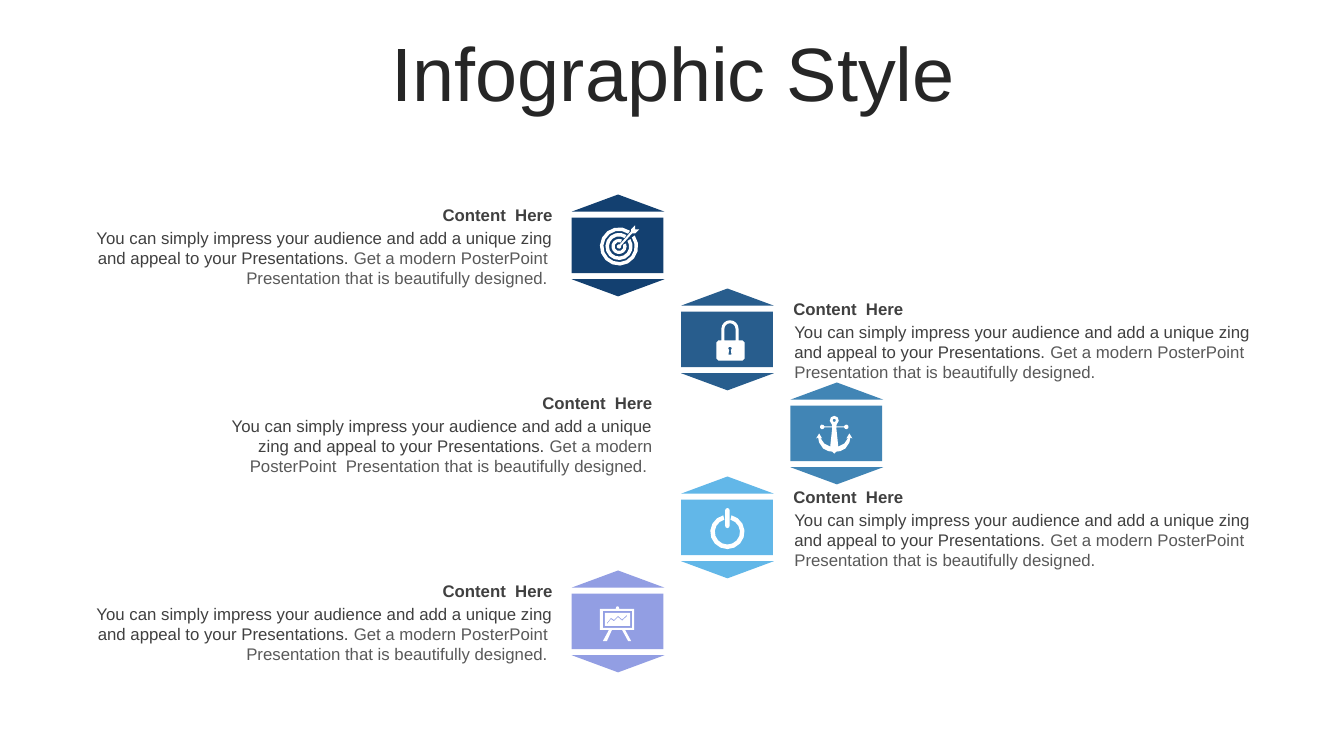
from math import cos, radians, sin

from pptx import Presentation
from pptx.dml.color import RGBColor
from pptx.enum.shapes import MSO_SHAPE
from pptx.enum.text import MSO_ANCHOR, MSO_AUTO_SIZE, PP_ALIGN
from pptx.util import Inches, Pt

RECT, ROOF = MSO_SHAPE.RECTANGLE, MSO_SHAPE.ISOSCELES_TRIANGLE
TOP, MIDDLE = MSO_ANCHOR.TOP, MSO_ANCHOR.MIDDLE
LEFT, CENTER, RIGHT = PP_ALIGN.LEFT, PP_ALIGN.CENTER, PP_ALIGN.RIGHT
NO_FIT = MSO_AUTO_SIZE.NONE

WIDE, HIGH = 13.33, 7.5
COL_0, COL_STEP = 5.67, 1.085
ROW_0, ROW_STEP = 1.93, 0.9325
BADGE_W, BADGE_H, ROOF_H, BAND_H = 0.92, 1.01, 0.17, 0.55

HEAD = "Content  Here"
LEAD = ("You can simply impress your audience and add a unique zing "
        "and appeal to your Presentations. ")
REST = "Get a modern PosterPoint  Presentation that is beautifully designed."


def color(code):
    return RGBColor.from_string(code)


def paint(shape, code):
    shape.fill.solid()
    shape.fill.fore_color.rgb = color(code)
    shape.line.fill.background()
    shape.shadow.inherit = False


def arc(x, y, r, start, end):
    """Points along an arc; angles in degrees, clockwise from the right."""
    step = 24 if r > 5 else 45
    steps = max(2, round(abs(end - start) / step))
    turns = [radians(start + (end - start) * i / steps) for i in range(steps + 1)]
    return [(x + r * cos(t), y + r * sin(t)) for t in turns]


def ring(x, y, outer, inner, start, end):
    return arc(x, y, outer, start, end) + arc(x, y, inner, end, start)


def box(x1, y1, x2, y2):
    return [(x1, y1), (x2, y1), (x2, y2), (x1, y2)]


# Icons return closed outlines in hundredths of an inch from the badge centre.
def target():
    bands = [(19, 15.5, 10), (13.5, 10, 12), (7.5, 4.5, 22)]
    rings = [ring(1, 1, out, inn, gap - 45, 315 - gap) for out, inn, gap in bands]
    arrow = [(17, -20), (17, -16), (21, -16), (17, -12), (14, -12)]
    tail = arc(1, 1, 2.2, -20, 290) + [(13, -14), (13, -16)]
    return rings + [arrow + tail]


def lock():
    bow = [(-6, 1), *arc(2.5, -10.5, 8.5, 180, 360), (11, 1), (8, 1),
           *arc(2.5, -10.5, 5.5, 360, 180), (-3, 1)]
    case = [(-9, 1), (15, 1), (17, 3), (17, 19), (15, 21),
            (-9, 21), (-11, 19), (-11, 3)]
    hole = arc(2.5, 9, 1.7, 120, 420) + [(4, 15), (1, 15)]
    return [bow, case, hole]


def anchor():
    half = [*arc(0, -13, 4.5, 270, 415), (2, -7), (9, -7),
            *arc(12, -6.5, 2.3, 195, 525), (9, -6), (2, -6), (4, 13),
            (10, 10), (14, 4), (12, 5), (15, 0), (18, 5), (16, 4),
            (15, 9), (11, 15), (6, 17.5), (2, 18), (0, 20)]
    whole = half + [(-x, y) for x, y in reversed(half)]
    return [[(x - 2.5, y) for x, y in whole], arc(-2.5, -13, 1.6, 0, 360)]


def power():
    bar = arc(0, -17, 2.2, 180, 360) + arc(0, -1.5, 2.2, 0, 180)
    return [ring(0, 4.5, 17, 12.5, -76, 256), bar]


def board():
    frame = [(-18, -12.5), (-2, -12.5), *arc(-0.5, -13.5, 1.5, 180, 360),
             (1, -12.5), (16, -12.5), (16, 8.5), (7, 8.5), (13, 19.5),
             (10, 19.5), (4, 8.5), (-6, 8.5), (-11, 19.5), (-15, 19.5),
             (-9, 8.5), (-18, 8.5)]
    trend = [(-11, 1.5), (-7, -3.5), (-4, -1.5), (0, -5.5), (4, -2), (9, -6.5)]
    under = [(x, y + 1.3) for x, y in reversed(trend)]
    return [frame, box(-15, -10.5, 14, 6.5), box(-13, -8.5, 12, 4.5), trend + under]


def draw_icon(shapes, outlines, x, y):
    def place(points):
        return [(Inches(x + px / 100), Inches(y + py / 100)) for px, py in points]

    first, *others = map(place, outlines)
    pen = shapes.build_freeform(*first[0])
    pen.add_line_segments(first[1:])
    for points in others:
        pen.move_to(*points[0])
        pen.add_line_segments(points[1:])
    paint(pen.convert_to_shape(), "FFFFFF")


def add_badge(slide, x, y, code, icon):
    shapes = slide.shapes.add_group_shape().shapes
    parts = [(RECT, 0.23, 0.91, BAND_H, 0), (ROOF, 0, BADGE_W, ROOF_H, 0),
             (ROOF, BADGE_H - ROOF_H, BADGE_W, ROOF_H, 180)]
    for kind, drop, wide, high, turn in parts:
        part = shapes.add_shape(kind, Inches(x), Inches(y + drop),
                                Inches(wide), Inches(high))
        part.rotation = turn
        paint(part, code)
    draw_icon(slide.shapes, icon(), x + BADGE_W / 2, y + BADGE_H / 2)


def write(shape, runs, align, hold, size):
    """Fill a shape with one paragraph of (text, colour, bold) runs."""
    frame = shape.text_frame
    layout = {"word_wrap": True, "auto_size": NO_FIT, "vertical_anchor": hold}
    for key, value in layout.items():
        setattr(frame, key, value)
    para = frame.paragraphs[0]
    para.alignment = align
    for text, code, bold in runs:
        run = para.add_run()
        run.text = text
        style = {"name": "Arial", "size": Pt(size), "bold": bold}
        for key, value in style.items():
            setattr(run.font, key, value)
        run.font.color.rgb = color(code)
    return para


def add_note(slide, x, y, width, align):
    shapes = slide.shapes.add_group_shape().shapes
    end, shift = (" ", 0) if align == RIGHT else ("", 0.01)
    body = [(LEAD, "404040", False), (REST + end, "595959", False)]
    blocks = [(x - shift, 0.05, width + 2 * shift, 0.3, MIDDLE,
               [(HEAD, "404040", True)]),
              (x, 0.28, width, 0.71, TOP, body)]
    for left, drop, wide, high, hold, runs in blocks:
        note = shapes.add_textbox(Inches(left), Inches(y + drop),
                                  Inches(wide), Inches(high))
        write(note, runs, align, hold, 12)


def add_title(slide, text):
    title = slide.shapes.title
    spot = {"left": 0.35, "top": 0.37, "width": 12.66, "height": 0.79}
    for key, value in spot.items():
        setattr(title, key, Inches(value))
    para = write(title, [(text, "262626", False)], CENTER, MIDDLE, 54)
    para.line_spacing = 0.9


def main():
    deck = Presentation()
    deck.slide_width, deck.slide_height = Inches(WIDE), Inches(HIGH)
    slide = deck.slides.add_slide(deck.slide_layouts[5])
    add_title(slide, "Infographic Style")
    # badge column, colour, icon, note left, note width, alignment
    rows = [(0, "134070", target, 0.83, 4.75, RIGHT),
            (1, "285D8D", lock, 7.78, 4.78, LEFT),
            (2, "4185B5", anchor, 2.01, 4.56, RIGHT),
            (1, "62B7E8", power, 7.78, 4.78, LEFT),
            (0, "929EE3", board, 0.83, 4.75, RIGHT)]
    for i, (col, code, icon, x, width, align) in enumerate(rows):
        y = ROW_0 + i * ROW_STEP
        add_badge(slide, COL_0 + col * COL_STEP, y, code, icon)
        add_note(slide, x, y, width, align)
    deck.save("out.pptx")


if __name__ == "__main__":
    main()
